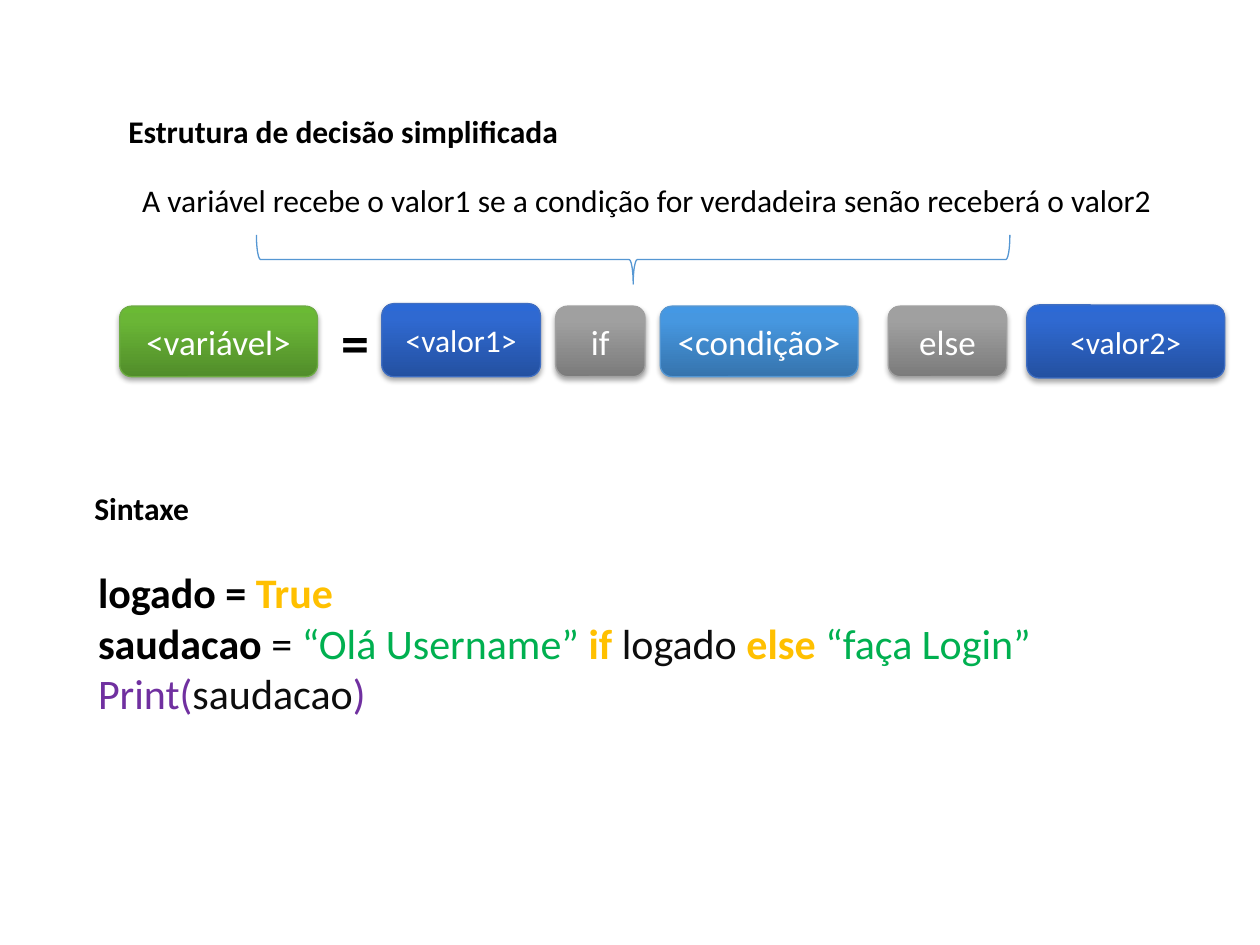
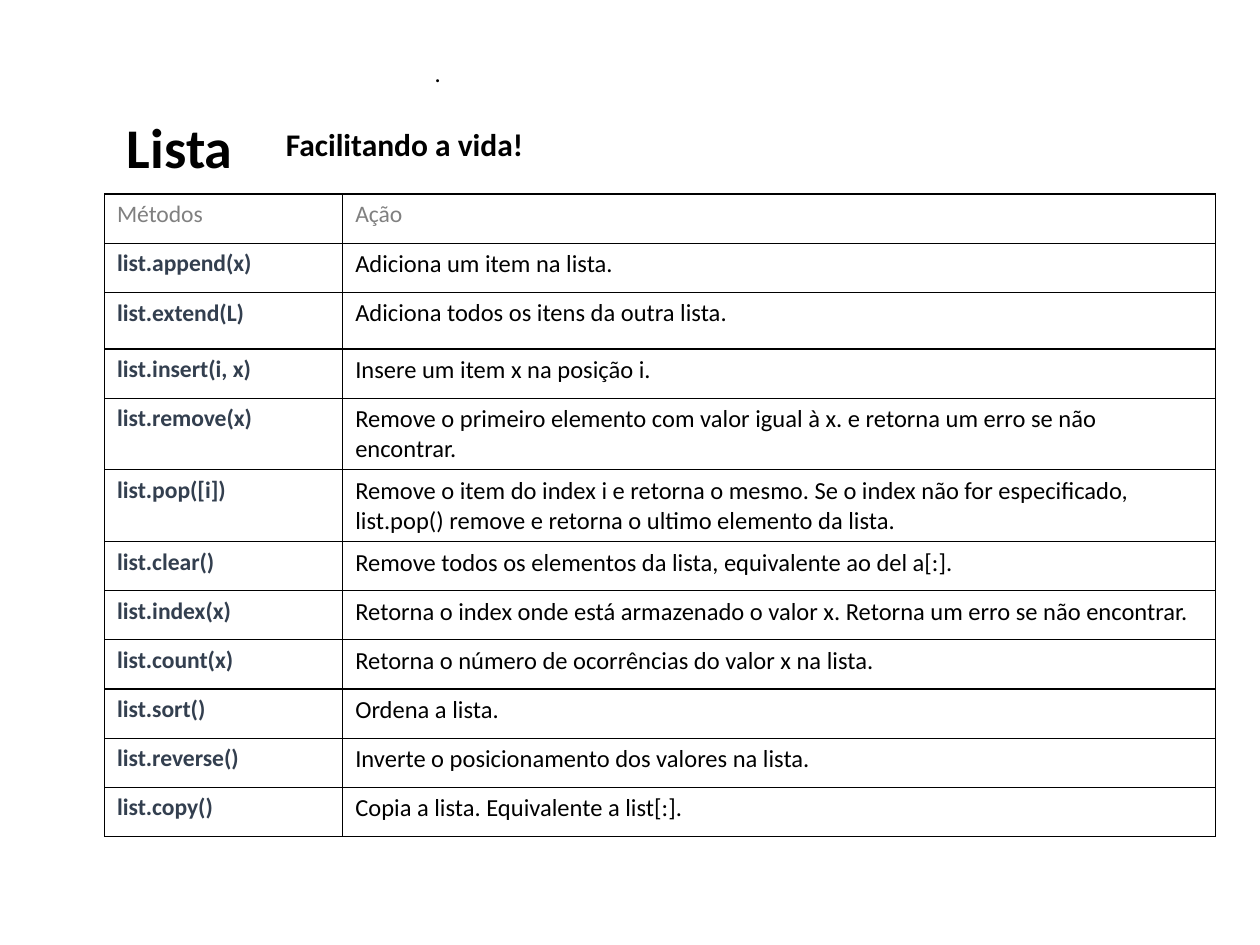
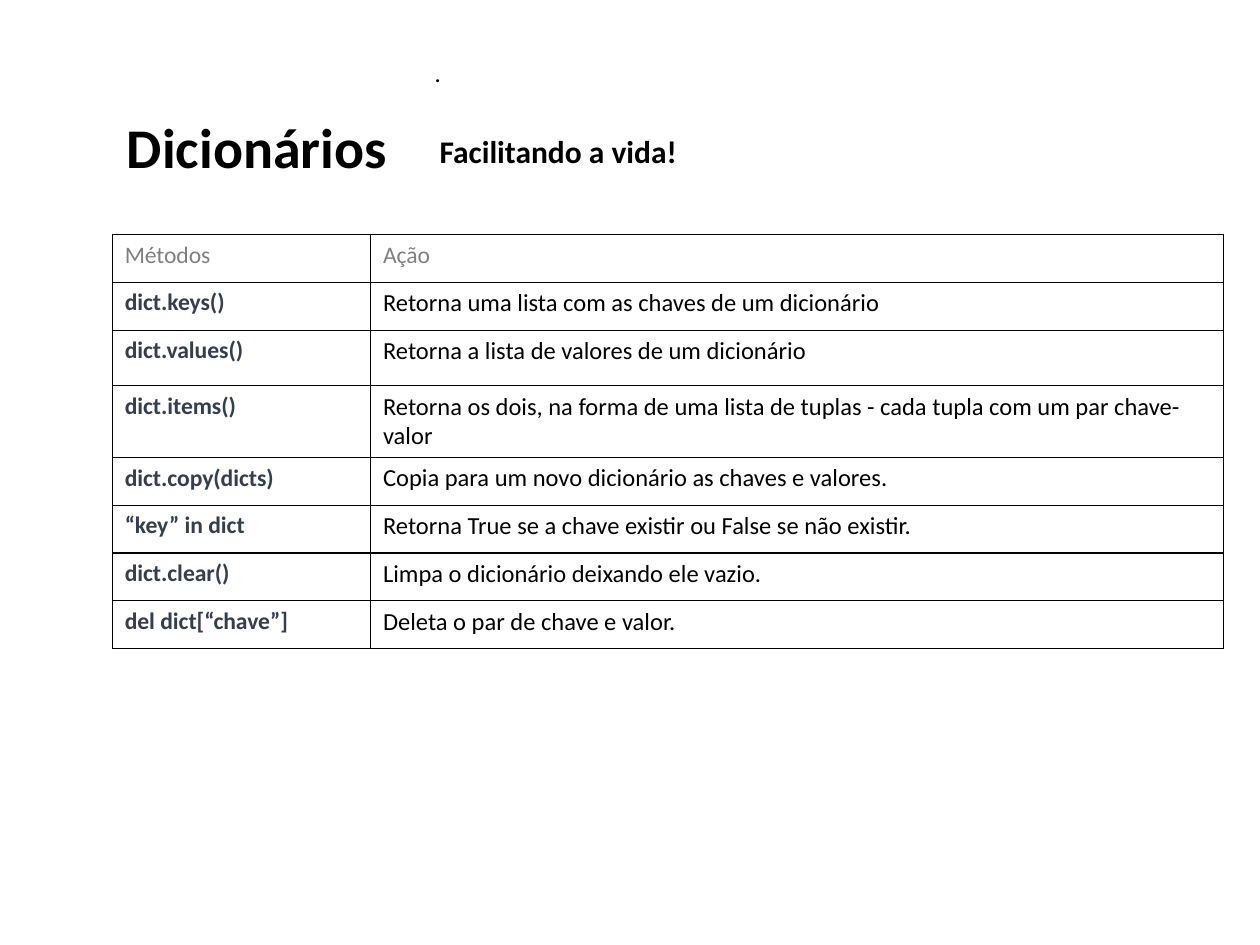
from copy import deepcopy

from lxml import etree
from pptx import Presentation
from pptx.dml.color import RGBColor
from pptx.enum.shapes import MSO_SHAPE
from pptx.enum.text import MSO_ANCHOR, PP_ALIGN
from pptx.oxml.ns import qn
from pptx.util import Inches, Pt

ROUND_RECT = MSO_SHAPE.ROUNDED_RECTANGLE
BRACE = MSO_SHAPE.RIGHT_BRACE
CENTER = PP_ALIGN.CENTER
MIDDLE = MSO_ANCHOR.MIDDLE

FONT = "Calibri"
BLACK = "000000"
WHITE = "FFFFFF"
HEADER_GRAY = "808080"
METHOD_BLUE = "333F4F"
KEYWORD = "FFC000"
STRING = "00B050"
FUNCTION = "7030A0"
NAME = "0D0D0D"
BRACE_BLUE = "5597D3"

GREEN_BLOCK = ("6DAC43", ("518D2A", "6AB636", "6ABA34"))
BLUE_BLOCK = ("3F6EC2", ("2451A1", "2F69D1", "2C69D5"))
GRAY_BLOCK = ("A1A1A1", ("7B7B7B", "A0A0A0", "A1A1A1"))
SKY_BLOCK = (BRACE_BLUE, ("3674AD", "4697E0", "4498E4"))
STOPS = (0, 0.8, 1)

BLOCKS = [
    ("<variável>", 0.95, 2.43, 1.57, 0.56, 20, GREEN_BLOCK),
    ("<valor1>", 3.03, 2.41, 1.26, 0.58, 18, BLUE_BLOCK),
    ("if", 4.41, 2.43, 0.71, 0.56, 20, GRAY_BLOCK),
    ("<condição>", 5.24, 2.43, 1.57, 0.56, 20, SKY_BLOCK),
    ("else", 7.05, 2.43, 0.94, 0.56, 20, GRAY_BLOCK),
    ("<valor2>", 8.15, 2.42, 1.57, 0.58, 18, BLUE_BLOCK),
]

CODE = [
    [("logado = ", BLACK, True), ("True", KEYWORD, True)],
    [("saudacao", BLACK, True), (" = ", BLACK, False),
     ("“Olá Username” ", STRING, False), ("if ", KEYWORD, True),
     ("logado ", NAME, False), ("else ", KEYWORD, True),
     ("“faça Login”", STRING, False)],
    [("Print(", FUNCTION, False), ("saudacao", NAME, False),
     (")", FUNCTION, False)],
]

LIST_METHODS = [
    ("list.append(x)", "Adiciona um item na lista."),
    ("list.extend(L)", "Adiciona todos os itens da outra lista."),
    ("list.insert(i, x)", "Insere um item x na posição i."),
    ("list.remove(x)", "Remove o primeiro elemento com valor igual à x. e "
     "retorna um erro se não encontrar."),
    ("list.pop([i])", "Remove o item do index i e retorna o mesmo. Se o index "
     "não for especificado, list.pop() remove e retorna o ultimo elemento da "
     "lista."),
    ("list.clear()", "Remove todos os elementos da lista, equivalente ao del "
     "a[:]."),
    ("list.index(x)", "Retorna o index onde está armazenado o valor x. "
     "Retorna um erro se não encontrar."),
    ("list.count(x)", "Retorna o número de ocorrências do valor x na lista."),
    ("list.sort()", "Ordena a lista."),
    ("list.reverse()", "Inverte o posicionamento dos valores na lista."),
    ("list.copy()", "Copia a lista. Equivalente a list[:]."),
]

DICT_METHODS = [
    ("dict.keys()", "Retorna uma lista com as chaves de um dicionário"),
    ("dict.values()", "Retorna a lista de valores de um dicionário"),
    ("dict.items()", "Retorna os dois, na forma de uma lista de tuplas - cada "
     "tupla com um par chave-valor"),
    ("dict.copy(dicts)", "Copia para um novo dicionário as chaves e valores."),
    ("“key” in dict", "Retorna True se a chave existir ou False se não "
     "existir."),
    ("dict.clear()", "Limpa o dicionário deixando ele vazio."),
    ("del dict[“chave”]", "Deleta o par de chave e valor."),
]


def rgb(color):
    return RGBColor.from_string(color)


def add_run(p, text, size=18, color=BLACK, bold=False):
    r = p.add_run()
    r.text = text
    r.font.name = FONT
    r.font.size = Pt(size)
    r.font.bold = bold
    r.font.color.rgb = rgb(color)


def add_frame(s, x, y, w, h):
    tf = s.shapes.add_textbox(Inches(x), Inches(y), Inches(w), Inches(h)).text_frame
    tf.word_wrap = True
    return tf


def add_text(s, text, x, y, w, h, **fmt):
    add_run(add_frame(s, x, y, w, h).paragraphs[0], text, **fmt)


def add_code(s, lines, x, y, w, h):
    tf = add_frame(s, x, y, w, h)
    for i, line in enumerate(lines):
        p = tf.add_paragraph() if i else tf.paragraphs[0]
        for text, color, bold in line:
            add_run(p, text, size=24, color=color, bold=bold)


def add_gradient(sp, colors):
    sp.fill.gradient()
    sp.fill.gradient_angle = 90
    stops = sp._element.spPr.find(qn("a:gradFill")).find(qn("a:gsLst"))
    stops.append(deepcopy(stops[0]))
    for stop, position, color in zip(sp.fill.gradient_stops, STOPS, colors):
        stop.position = position
        stop.color.rgb = rgb(color)


def add_shadow(sp):
    sp.shadow.inherit = False
    effects = sp._element.spPr.find(qn("a:effectLst"))
    shadow = etree.SubElement(
        effects, qn("a:outerShdw"), blurRad=str(Pt(3.1)), dist=str(Pt(1.8)),
        dir="5400000", rotWithShape="0")
    color = etree.SubElement(shadow, qn("a:srgbClr"), val=BLACK)
    etree.SubElement(color, qn("a:alpha"), val="35000")


def add_block(s, text, x, y, w, h, size, style):
    line, colors = style
    sp = s.shapes.add_shape(ROUND_RECT, Inches(x), Inches(y), Inches(w), Inches(h))
    add_gradient(sp, colors)
    sp.line.color.rgb = rgb(line)
    sp.line.width = Pt(0.75)
    add_shadow(sp)
    tf = sp.text_frame
    tf.vertical_anchor = MIDDLE
    tf.word_wrap = True
    p = tf.paragraphs[0]
    p.alignment = CENTER
    add_run(p, text, size=size, color=WHITE)


def add_brace(s, x, y, w, h):
    sp = s.shapes.add_shape(BRACE, Inches(x), Inches(y), Inches(w), Inches(h))
    sp.rotation = 90
    sp.shadow.inherit = False
    sp.fill.background()
    sp.line.color.rgb = rgb(BRACE_BLUE)
    sp.line.width = Pt(0.75)


def add_borders(cell):
    tc_pr = cell._tc.get_or_add_tcPr()
    for i, side in enumerate(("a:lnL", "a:lnR", "a:lnT", "a:lnB")):
        ln = etree.Element(qn(side), w=str(Pt(0.75)))
        fill = etree.SubElement(ln, qn("a:solidFill"))
        etree.SubElement(fill, qn("a:srgbClr"), val=BLACK)
        tc_pr.insert(i, ln)


def add_methods_table(s, methods, x, y, widths, heights):
    rows = [("Métodos", "Ação")] + methods
    table = s.shapes.add_table(
        len(rows), len(widths), Inches(x), Inches(y),
        Inches(sum(widths)), Inches(sum(heights))).table
    for column, width in zip(table.columns, widths):
        column.width = Inches(width)
    body_formats = (dict(size=13.5, color=METHOD_BLUE, bold=True), dict(size=14))
    header_formats = (dict(size=13.5, color=HEADER_GRAY),) * 2
    for i, (texts, height) in enumerate(zip(rows, heights)):
        table.rows[i].height = Inches(height)
        formats = body_formats if i else header_formats
        for j, (text, fmt) in enumerate(zip(texts, formats)):
            cell = table.cell(i, j)
            cell.fill.background()
            add_borders(cell)
            add_run(cell.text_frame.paragraphs[0], text, **fmt)


def add_slide(prs):
    return prs.slides.add_slide(prs.slide_layouts[6])


def build_decision(prs):
    s = add_slide(prs)
    add_text(s, "Estrutura de decisão simplificada", 0.92, 0.84, 3.8, 0.4, bold=True)
    for block in BLOCKS:
        add_block(s, *block)
    add_text(s, "=", 2.61, 2.39, 0.42, 0.63, size=32, bold=True)
    add_text(s, "A variável recebe o valor1 se a condição for verdadeira senão "
             "receberá o valor2", 1.03, 1.39, 8.4, 0.4)
    add_brace(s, 4.83, -0.93, 0.39, 5.98)
    add_text(s, "Sintaxe", 0.65, 3.83, 6.57, 0.4, bold=True)
    add_code(s, CODE, 0.68, 4.45, 7.8, 1.3)


def build_methods(prs, title, title_width, tagline_at, methods, **table):
    s = add_slide(prs)
    add_text(s, "Facilitando a vida!", *tagline_at, 2.3, 0.4, bold=True)
    add_text(s, ".", 3.35, 0.41, 6.65, 0.34, size=14)
    add_methods_table(s, methods, **table)
    add_text(s, title, 0.91, 0.84, title_width, 0.63, size=32, bold=True)


def main():
    prs = Presentation()
    prs.slide_width = Inches(10)
    prs.slide_height = Inches(7.5)
    build_decision(prs)
    build_methods(prs, "Lista", 1.2, (2.17, 0.94), LIST_METHODS,
                  x=0.83, y=1.54, widths=(1.89, 6.93),
                  heights=[0.39] * 2 + [0.45, 0.39] + [0.57] * 2 + [0.39] * 6)
    build_methods(prs, "Dicionários", 2.4, (3.39, 1), DICT_METHODS,
                  x=0.89, y=1.86, widths=(2.05, 6.77),
                  heights=[0.38] * 2 + [0.44, 0.57] + [0.38] * 4)
    prs.save("out.pptx")


if __name__ == "__main__":
    main()
